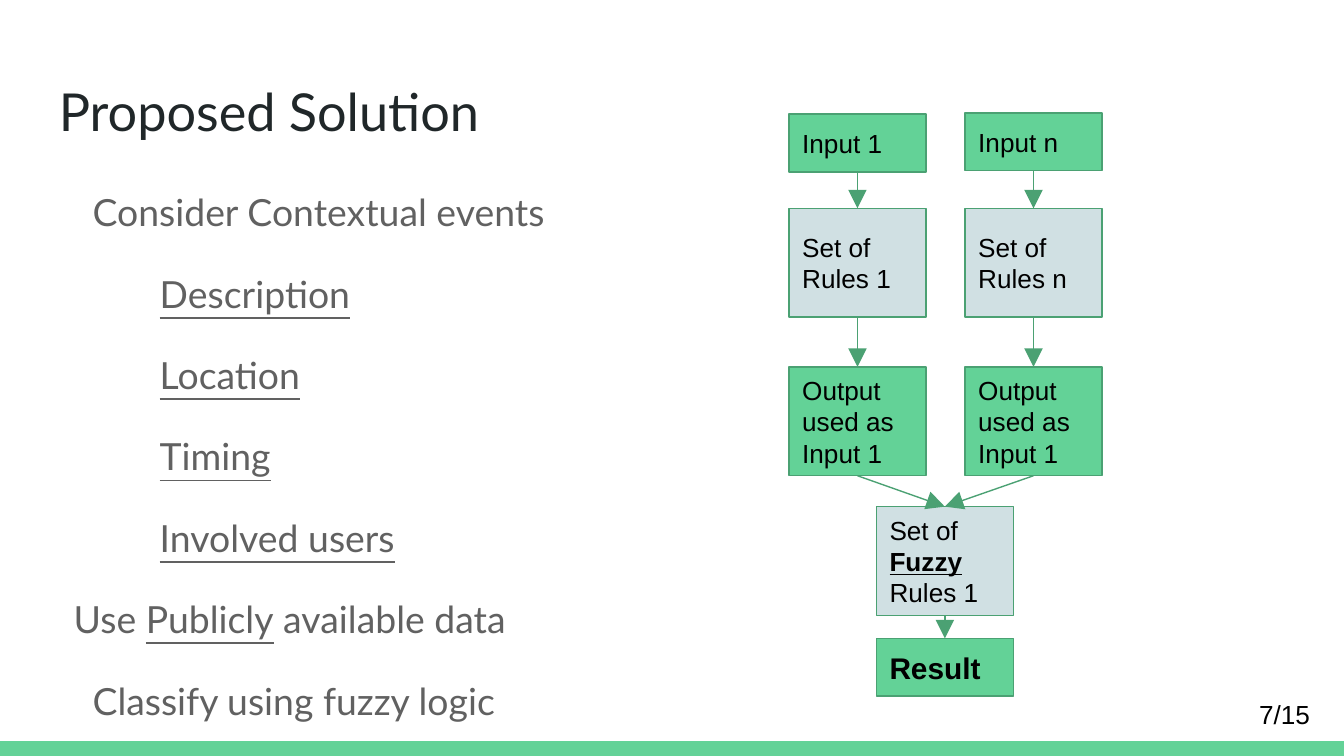
import pptx
import pptx.dml.color
import pptx.enum.shapes
import pptx.enum.text
import pptx.oxml
import pptx.oxml.ns
import pptx.util

Inches = pptx.util.Inches
Pt = pptx.util.Pt
ANCHOR = pptx.enum.text.MSO_ANCHOR
RECTANGLE = pptx.enum.shapes.MSO_SHAPE.RECTANGLE
STRAIGHT = pptx.enum.shapes.MSO_CONNECTOR.STRAIGHT
COLORS = {
    "green": "63D297",
    "edge": "4BA173",
    "pale": "D0E0E3",
    "title": "202729",
    "body": "616161",
    "black": "000000",
}


def rgb(name):
    return pptx.dml.color.RGBColor.from_string(COLORS[name])


def write(box, paragraphs, font, size, color, anchor=ANCHOR.TOP):
    """Fill a shape; each paragraph is a list of (text, emphasised) spans."""
    frame = box.text_frame
    frame.word_wrap = True
    frame.vertical_anchor = anchor
    frame.margin_left = frame.margin_right = Inches(0.1)
    frame.margin_top = frame.margin_bottom = Inches(0.1)
    for number, spans in enumerate(paragraphs):
        para = frame.add_paragraph() if number else frame.paragraphs[0]
        para.alignment = pptx.enum.text.PP_ALIGN.LEFT
        para.font.name = font
        para.font.size = Pt(size)
        para.font.color.rgb = rgb(color)
        for text, emphasised in spans:
            span = para.add_run()
            span.text = text
            if emphasised:
                span.font.underline = True


# Widescreen, 16:9
deck = pptx.Presentation()
deck.slide_width = Inches(10)
deck.slide_height = Inches(10) * 9 // 16
page = deck.slides.add_slide(deck.slide_layouts[6])

# Footer band
band_height = Inches(0.11)
band = page.shapes.add_shape(
    RECTANGLE, 0, deck.slide_height - band_height, deck.slide_width, band_height)
band.shadow.inherit = False
band.fill.solid()
band.fill.fore_color.rgb = rgb("green")
band.line.fill.background()

# Title, body and page number
title = page.shapes.add_textbox(Inches(0.34), Inches(0.49), Inches(9.32), Inches(0.63))
write(title, [[("Proposed Solution", False)]], "Lato", 28, "title")

# Each entry: left margin, first-line indent, spans
points = [(0.5, -0.25, [("Consider Contextual events", False)])]
for topic in ("Description", "Location", "Timing", "Involved users"):
    points.append((1, -0.25, [(topic, True)]))
points += [
    (0.5, -0.39, [("Use ", False), ("Publicly", True), (" available data", False)]),
    (0.5, -0.25, [("Classify using fuzzy logic", False)]),
]
body = page.shapes.add_textbox(Inches(0.34), Inches(1.26), Inches(9.32), Inches(3.74))
write(body, [spans for _, _, spans in points], "Lato", 20, "body")
for para, (margin, indent, _) in zip(body.text_frame.paragraphs, points):
    para.line_spacing = 1.15
    para.space_after = Pt(16)
    properties = para._p.get_or_add_pPr()
    properties.set("marL", str(Inches(margin)))
    properties.set("indent", str(Inches(indent)))

page_number = page.shapes.add_textbox(Inches(9.27), Inches(5.1), Inches(0.6), Inches(0.43))
write(page_number, [[("7/15", False)]], "Arial", 14, "black", ANCHOR.MIDDLE)

# Flow chart: name, left, top, height, fill, size, paragraphs
LEFT, MIDDLE, RIGHT = 5.87, 6.52, 7.18
SHORT, TALL = 0.43, 0.81
steps = []
for name, left, input_top in (("1", LEFT, 0.85), ("n", RIGHT, 0.84)):
    steps += [
        ("input " + name, left, input_top, SHORT, "green", 14, [[("Input " + name, False)]]),
        ("rules " + name, left, 1.55, TALL, "pale", 14, [[("Set of Rules " + name, False)]]),
        ("output " + name, left, 2.73, TALL, "green", 14, [[("Output used as Input 1", False)]]),
    ]
steps += [
    ("fuzzy", MIDDLE, 3.77, TALL, "pale", 14,
     [[("Set of", False)], [("Fuzzy", True), (" Rules 1", False)]]),
    ("result", MIDDLE, 4.75, SHORT, "green", 16, [[("Result", False)]]),
]
boxes = {}
for name, left, top, height, fill, size, paragraphs in steps:
    box = page.shapes.add_shape(RECTANGLE, Inches(left), Inches(top), Inches(1.02), Inches(height))
    box.shadow.inherit = False
    box.fill.solid()
    box.fill.fore_color.rgb = rgb(fill)
    box.line.color.rgb = rgb("edge")
    box.line.width = Pt(0.75)
    write(box, paragraphs, "Arial", size, "black", ANCHOR.MIDDLE)
    boxes[name] = box
boxes["fuzzy"].text_frame.paragraphs[1].runs[0].font.bold = True
boxes["result"].text_frame.paragraphs[0].font.bold = True

# Arrows run from the bottom of one box to the top of the next
links = [("fuzzy", "result")]
for name in ("1", "n"):
    chain = ["input " + name, "rules " + name, "output " + name, "fuzzy"]
    links += zip(chain, chain[1:])
BOTTOM_SITE, TOP_SITE = 2, 0
for start, end in links:
    arrow = page.shapes.add_connector(STRAIGHT, 0, 0, 0, 0)
    arrow.begin_connect(boxes[start], BOTTOM_SITE)
    arrow.end_connect(boxes[end], TOP_SITE)
    arrow.line.color.rgb = rgb("edge")
    arrow.line.width = Pt(0.75)
    line = arrow.line._get_or_add_ln()
    head = pptx.oxml.parse_xml(
        '<a:tailEnd %s type="triangle" w="lg" len="lg"/>' % pptx.oxml.ns.nsdecls("a"))
    line.append(head)
    line.addnext(pptx.oxml.parse_xml("<a:effectLst %s/>" % pptx.oxml.ns.nsdecls("a")))

deck.save("out.pptx")
